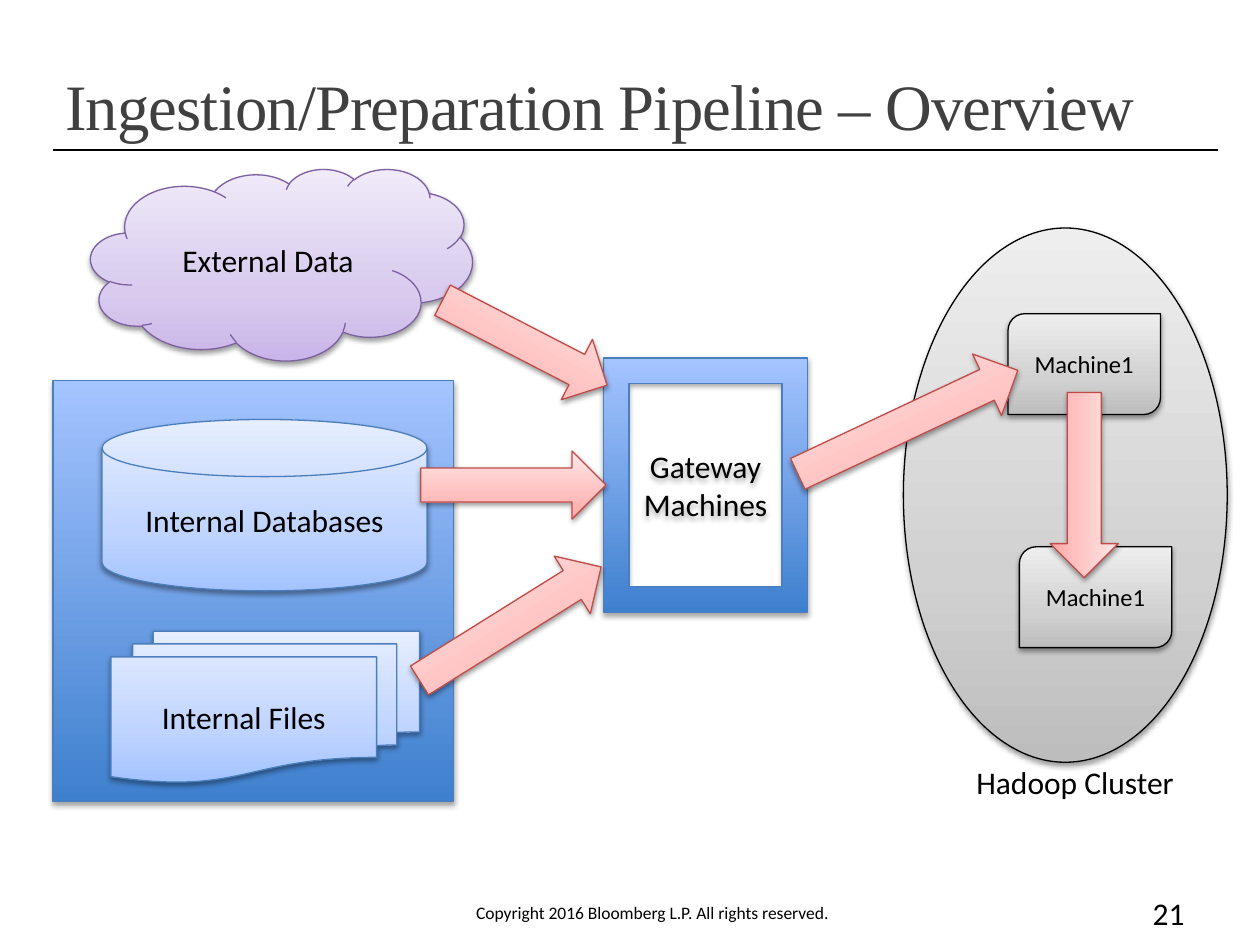
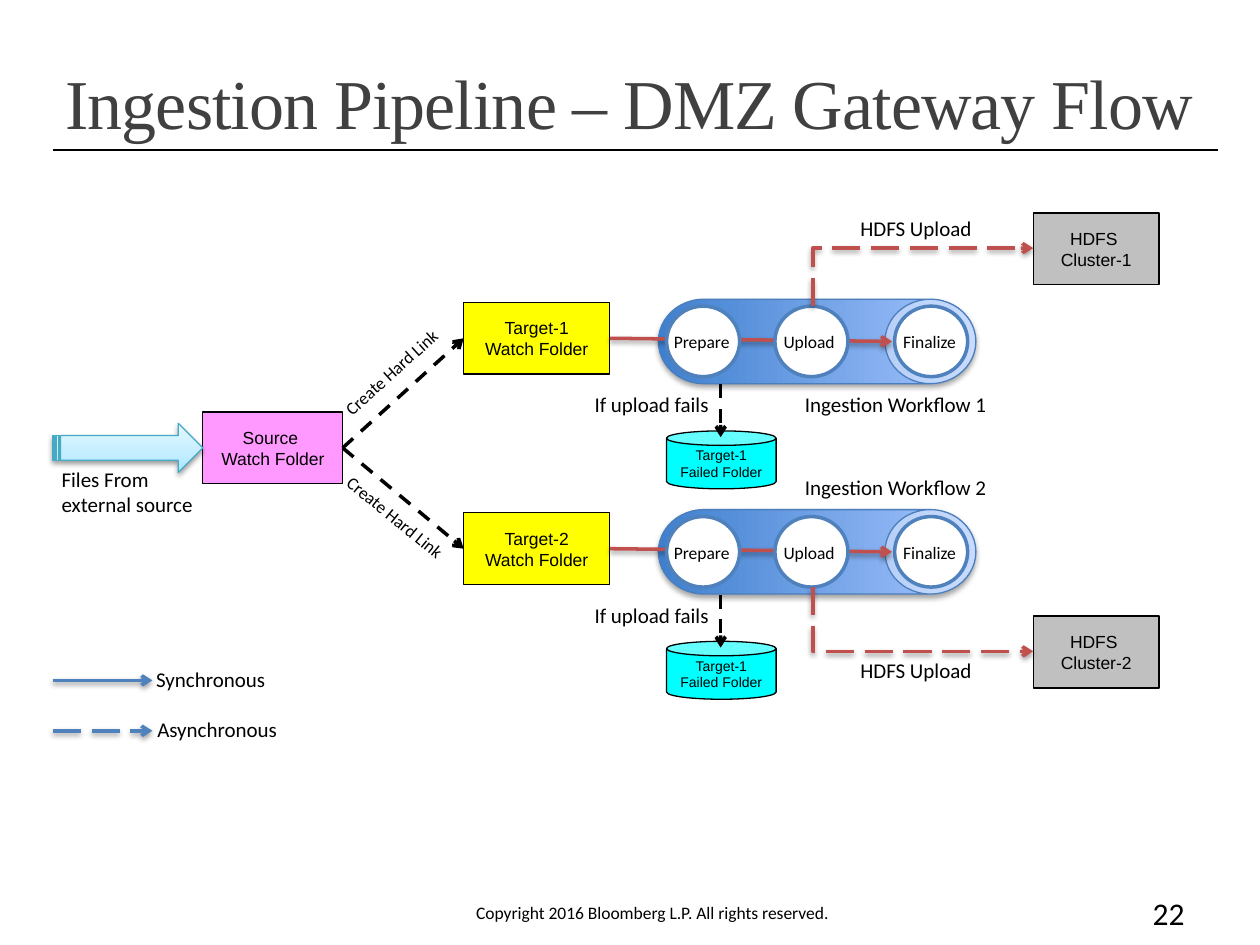
from collections import namedtuple

from lxml import etree
from pptx import Presentation
from pptx import util as u
from pptx.dml.color import RGBColor
from pptx.enum import dml, shapes, text
from pptx.oxml.ns import qn

EMU_PER_PX = 9144
KIND = shapes.MSO_SHAPE
DASH = dml.MSO_LINE.DASH
LONG_DASH = dml.MSO_LINE.LONG_DASH
BLACK, WHITE, GREY = "000000", "FFFFFF", "404040"
BLUE, RED = "4F81BD", "C0504D"

Look = namedtuple("Look", "fill line weight shadow", defaults=(BLACK, 0.75, None))
SOFT, DEEP = (38, 1.6), (35, 1.8)
LILAC = Look([(0, "C9B5E8"), (35, "D8CBEE"), (100, "F0EAF9")], "7D60A0", shadow=SOFT)
STRONG_BLUE = Look([(0, "3F80CE"), (100, "A4C4FF")], "4B7EBC", shadow=DEEP)
PALE_BLUE = Look([(0, "A4C4FF"), (35, "BFD4FF"), (100, "E6EEFF")], "4B7EBC", shadow=SOFT)
SILVER = Look([(0, "BDBDBD"), (35, "D1D1D1"), (100, "EEEEEE")], shadow=SOFT)
PINK = Look([(0, "FFA6A5"), (35, "FFC0BF"), (100, "FFE7E7")], "BF4C48", shadow=SOFT)
AQUA = Look([(0, "A7E6FF"), (35, "C1EDFF"), (100, "E7F8FF")], "46AAC5", shadow=SOFT)
STEP = Look(WHITE, BLUE, 2)
TARGET, SOURCE, CLUSTER, FAILED = map(Look, ("FFFF00", "FF99FF", "C0C0C0", "00FFFF"))


def px(count):
    return u.Emu(round(count * EMU_PER_PX))


def colour(value):
    return RGBColor.from_string(value)


def add_child(parent, tag, **attributes):
    return etree.SubElement(parent, qn(tag), {k: str(v) for k, v in attributes.items()})


def add_rgb(parent, value):
    return add_child(parent, "a:srgbClr", val=value)


def cast_shadow(effects, shadow):
    alpha, distance = shadow
    outer = add_child(effects, "a:outerShdw", blurRad=u.Pt(3.1), dist=u.Pt(distance),
                      dir=5400000, rotWithShape=0)
    add_child(add_rgb(outer, BLACK), "a:alpha", val=alpha * 1000)


def paint(shape, look):
    if isinstance(look.fill, str):
        shape.fill.solid()
        shape.fill.fore_color.rgb = colour(look.fill)
    else:
        shape.fill.gradient()
        shape.fill.gradient_angle = 90
        stops = shape._element.spPr.find(".//" + qn("a:gsLst"))
        stops[:] = []
        for position, value in look.fill:
            add_rgb(add_child(stops, "a:gs", pos=position * 1000), value)
    shape.line.color.rgb = colour(look.line)
    shape.line.width = u.Pt(look.weight)
    shape.shadow.inherit = False
    if look.shadow:
        cast_shadow(shape._element.spPr.find(qn("a:effectLst")), look.shadow)


def write(frame, words, size, font="Calibri", ink=BLACK, align=text.PP_ALIGN.LEFT):
    frame.text = words
    for paragraph in frame.paragraphs:
        paragraph.alignment = align
        paragraph.font.size = u.Pt(size)
        paragraph.font.name = font
        paragraph.font.color.rgb = colour(ink)


def block(canvas, kind, box, look, words="", size=18, font="Calibri", wrap=True, turn=0):
    shape = canvas.add_shape(kind, *map(px, box))
    paint(shape, look)
    shape.rotation = turn
    if words:
        write(shape.text_frame, words, size, font, align=text.PP_ALIGN.CENTER)
        shape.text_frame.word_wrap = wrap
        shape.text_frame.vertical_anchor = text.MSO_ANCHOR.MIDDLE
    return shape


def label(canvas, box, words, size=12, wrap=False, turn=0):
    caption = canvas.add_textbox(*map(px, box))
    caption.rotation = turn
    frame = caption.text_frame
    write(frame, words, size)
    frame.word_wrap = wrap
    frame.auto_size = text.MSO_AUTO_SIZE.SHAPE_TO_FIT_TEXT


def link(canvas, start, end, ink=BLACK, weight=2, dash=None, arrow=True, shadow=None,
         kind=shapes.MSO_CONNECTOR.STRAIGHT):
    connector = canvas.add_connector(kind, *map(px, start + end))
    connector.line.color.rgb = colour(ink)
    connector.line.width = u.Pt(weight)
    if dash:
        connector.line.dash_style = dash
    properties = connector._element.spPr
    if arrow:
        add_child(properties.find(qn("a:ln")), "a:tailEnd", type="arrow")
    effects = add_child(properties, "a:effectLst")
    if shadow:
        cast_shadow(effects, shadow)
    return connector


def upload_route(canvas, start, end):
    route = link(canvas, start, end, RED, dash=LONG_DASH, shadow=SOFT,
                 kind=shapes.MSO_CONNECTOR.ELBOW)
    (x1, y1), (x2, y2) = start, end
    rising = y2 < y1
    rise, run = abs(y2 - y1), x2 - x1
    route.left, route.top = px((x1 + x2 - rise) / 2), px((y1 + y2 - run) / 2)
    route.width, route.height = px(rise), px(run)
    route.rotation = 90 if rising else 270
    properties = route._element.spPr
    properties.find(qn("a:prstGeom")).set("prst", "bentConnector2")
    transform = properties.find(qn("a:xfrm"))
    transform.set("flipH", "1")
    transform.set("flipV", str(int(rising)))


def start_slide(deck, title, title_size, number):
    canvas = deck.slides.add_slide(deck.slide_layouts[6]).shapes
    page = canvas.add_textbox(*map(px, (717, 705, 233, 40))).text_frame
    write(page, number, 18, align=text.PP_ALIGN.RIGHT)
    page.word_wrap = True
    label(canvas, (368, 711, 361, 27),
          "Copyright 2016 Bloomberg L.P. All rights reserved.", 10, True)
    heading = canvas.add_textbox(*map(px, (42, 17, 925, 102))).text_frame
    write(heading, title, title_size, "Times New Roman", GREY)
    heading.word_wrap = True
    heading.vertical_anchor = text.MSO_ANCHOR.BOTTOM
    heading.paragraphs[0].line_spacing = 0.85
    heading.paragraphs[0].runs[0]._r.get_or_add_rPr().set("spc", "-50")
    link(canvas, (42, 119), (967, 119), weight=0.75, arrow=False)
    return canvas


def internal_sources(canvas, left, top, width, height):
    block(canvas, KIND.RECTANGLE, (left, top, width, height), STRONG_BLUE)
    block(canvas, KIND.FLOWCHART_MAGNETIC_DISK, (left + 39, top + 31, 258, 136),
          PALE_BLUE, "Internal Databases")
    block(canvas, KIND.FLOWCHART_MULTIDOCUMENT, (left + 46, top + 199, 245, 120),
          PALE_BLUE, "Internal Files")


def hadoop_cluster(canvas, left, top, width, height):
    block(canvas, KIND.OVAL, (left, top, width, height), SILVER)
    for x, y in ((83, 68), (92, 253)):
        block(canvas, KIND.ROUND_2_DIAG_RECTANGLE, (left + x, top + y, 121, 80),
              SILVER, "Machine1", 14)
    label(canvas, (left + 48, top + height - 4, 179, 40), "Hadoop Cluster", 18)


def overview_slide(deck):
    canvas = start_slide(deck, "Ingestion/Preparation Pipeline – Overview", 37, "21")
    block(canvas, KIND.CLOUD, (72, 134, 303, 152), LILAC, "External Data")
    internal_sources(canvas, 42, 302, 318, 334)
    block(canvas, KIND.FRAME, (479, 284, 162, 202), STRONG_BLUE, "Gateway Machines")
    hadoop_cluster(canvas, 717, 181, 257, 424)
    for left, top, length, turn in ((343, 245, 147, 27.3), (334, 358, 147, 0),
                                    (320, 468, 170, 328), (624, 308, 193, 334.8),
                                    (787, 358, 147, 90)):
        block(canvas, KIND.RIGHT_ARROW, (left, top, length, 54), PINK, turn=turn)


def workflow(canvas, left, top, target):
    lane = canvas.add_group_shape().shapes
    tube = block(lane, KIND.CAN, (left + 93, top - 92, 67, 252), STRONG_BLUE, turn=90)
    tube.adjustments[0] = 1.077
    steps = (("Finalize", 188, 185, 63), ("Prepare", 7, 3, 65), ("Upload", 93, 90, 61))
    for name, ring, caption, width in steps:
        block(lane, KIND.OVAL, (left + ring, top + 6, 58, 56), STEP)
        label(lane, (left + caption, top + 21, width, 27), name, 10)
        if name == "Finalize":
            flow = link(lane, (left - 38, top + 32), (left + 186, top + 34), RED, shadow=SOFT)
            flow.begin_connect(target, 3)


def target_lane(canvas, left, top, number, source):
    target = block(canvas, KIND.RECTANGLE, (left, top, 116, 57), TARGET,
                   f"Target-{number}\nWatch Folder", 10, "Arial", False)
    hard_link = link(canvas, (272, 356), (left, top + 28), dash=DASH)
    hard_link.begin_connect(source, 3)
    hard_link.end_connect(target, 1)
    failed = block(canvas, KIND.CAN, (left + 161, top + 102, 87, 46), FAILED,
                   "Target-1\nFailed Folder", 8, "Arial", False)
    failed.adjustments[0] = 0.25
    workflow(canvas, left + 154, top - 3, target)
    link(canvas, (left + 204, top + 65), (left + 204, top + 107), dash=DASH)
    label(canvas, (left + 94, top + 66, 111, 30), "If upload fails", wrap=True)


def hdfs_cluster(canvas, left, top, number, upload_y, caption_y):
    block(canvas, KIND.RECTANGLE, (left, top, 100, 57), CLUSTER,
          f"HDFS \nCluster-{number}", 10, "Arial", False)
    upload_route(canvas, (left - 175, upload_y), (left, top + 28))
    label(canvas, (left - 147, caption_y, 111, 30), "HDFS Upload", wrap=True)


def legend(canvas, left, top):
    for row, (name, dash, width) in enumerate((("Synchronous", None, 108),
                                               ("Asynchronous", LONG_DASH, 116))):
        y = top + 40 * row
        link(canvas, (left, y), (left + 79, y), BLUE, dash=dash, shadow=SOFT)
        label(canvas, (left + 72 + row, y - 16, width, 30), name)


def gateway_slide(deck):
    canvas = start_slide(deck, "Ingestion Pipeline – DMZ Gateway Flow", 40, "22")
    source = block(canvas, KIND.RECTANGLE, (161, 327, 111, 57), SOURCE,
                   "Source \nWatch Folder", 10, "Arial", False)
    for number, top, caption_y in ((1, 240, 306), (2, 407, 372)):
        target_lane(canvas, 368, top, number, source)
        label(canvas, (629, caption_y, 181, 30), f"Ingestion Workflow {number}", wrap=True)
    hdfs_cluster(canvas, 820, 169, 1, 243, 166)
    hdfs_cluster(canvas, 820, 489, 2, 466, 517)
    block(canvas, KIND.STRIPED_RIGHT_ARROW, (42, 336, 119, 39), AQUA)
    label(canvas, (39, 365, 125, 50), "Files From\nexternal source")
    for left, top, turn in ((254, 281, 317.9), (257, 398, 39)):
        label(canvas, (left, top, 115, 27), "Create Hard Link", 10, turn=turn)
    legend(canvas, 42, 540)


def main():
    deck = Presentation()
    deck.slide_width, deck.slide_height = px(1000), px(750)
    overview_slide(deck)
    gateway_slide(deck)
    deck.save("out.pptx")


if __name__ == "__main__":
    main()
